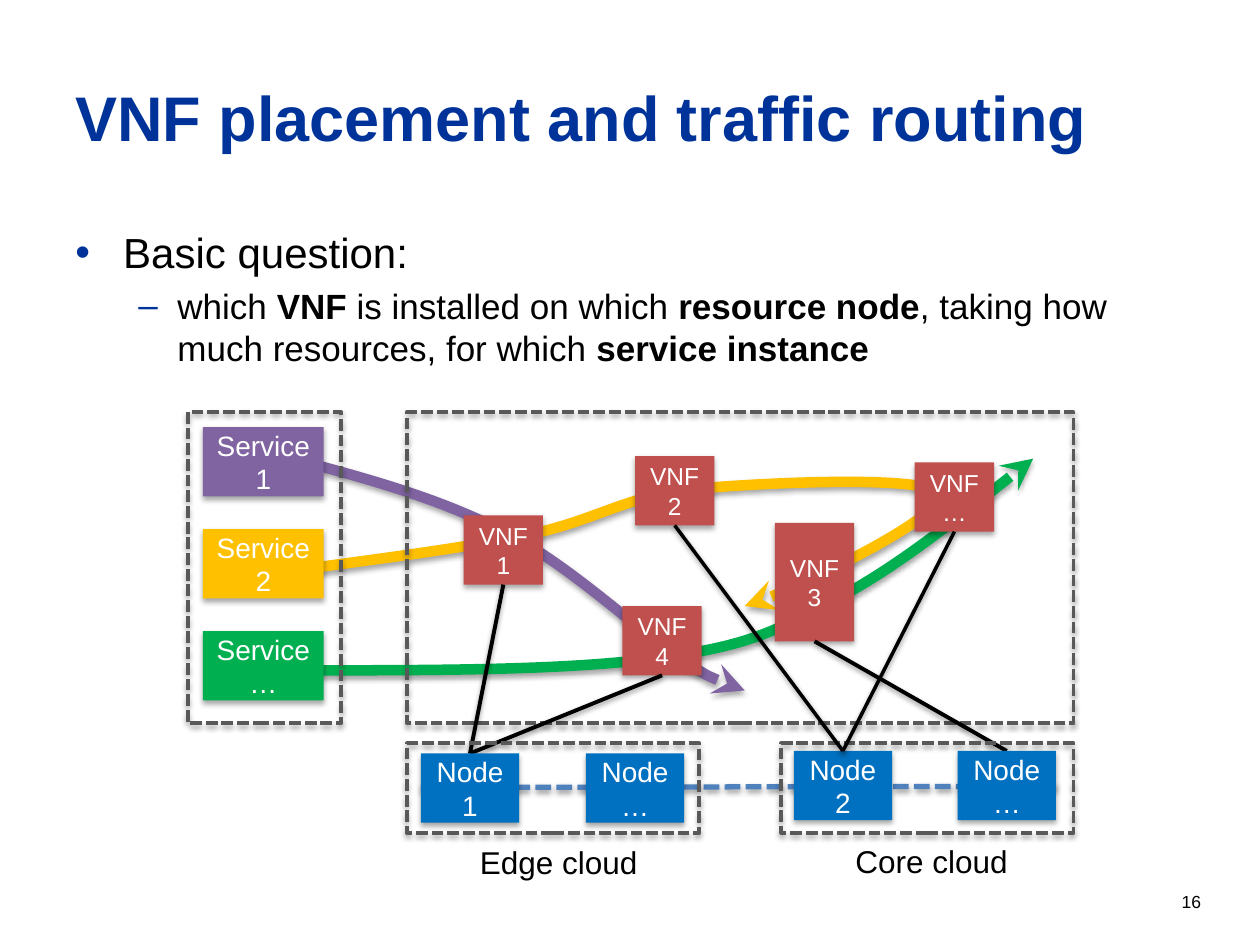
from lxml import etree
from pptx import Presentation
from pptx.dml.color import RGBColor
from pptx.enum.dml import MSO_LINE
from pptx.enum.shapes import MSO_CONNECTOR, MSO_SHAPE
from pptx.enum.text import MSO_ANCHOR, PP_ALIGN
from pptx.oxml.ns import qn
from pptx.util import Inches, Pt

RECTANGLE = MSO_SHAPE.RECTANGLE
STRAIGHT = MSO_CONNECTOR.STRAIGHT
DASH = MSO_LINE.SQUARE_DOT
TOP, MIDDLE = MSO_ANCHOR.TOP, MSO_ANCHOR.MIDDLE
LEFT, CENTER = PP_ALIGN.LEFT, PP_ALIGN.CENTER

FONT = "Arial"
NAVY = RGBColor(0x00, 0x33, 0x99)
BLACK = RGBColor(0x00, 0x00, 0x00)
WHITE = RGBColor(0xFF, 0xFF, 0xFF)
GRAY = RGBColor(0x59, 0x59, 0x59)
PURPLE = RGBColor(0x80, 0x64, 0xA2)
YELLOW = RGBColor(0xFF, 0xC0, 0x00)
GREEN = RGBColor(0x00, 0xB0, 0x50)
RED = RGBColor(0xC0, 0x50, 0x4D)
BLUE = RGBColor(0x00, 0x70, 0xC0)
LINK_BLUE = RGBColor(0x4F, 0x81, 0xBD)

TITLE = "VNF placement and traffic routing"
PAGE_NUMBER = "16"
# bullet, size, left margin, hanging indent, runs (text, bold)
BULLETS = [
    ("•", 24, 0.38, 0.38, [("Basic question:", False)]),
    ("–", 20, 0.81, 0.31, [
        ("which ", False), ("VNF", True), (" is installed on which ", False),
        ("resource node", True),
        (", taking how much resources, for which ", False),
        ("service instance", True)]),
]

# Start point, then three points for each Bezier curve
ROUTES = [
    (PURPLE, [(2.39, 3.66), (2.96, 3.81), (3.52, 3.97), (4.02, 4.23),
              (4.51, 4.48), (5.05, 4.99), (5.36, 5.2),
              (5.68, 5.41), (5.79, 5.44), (5.91, 5.48)]),
    (YELLOW, [(2.39, 4.52), (3.04, 4.43), (3.69, 4.35), (4.21, 4.24),
              (4.73, 4.13), (4.98, 3.93), (5.52, 3.88),
              (6.06, 3.83), (7.38, 3.77), (7.45, 3.92),
              (7.51, 4.08), (6.16, 4.76), (5.91, 4.81)]),
    (GREEN, [(2.38, 5.32), (3.42, 5.32), (4.45, 5.32), (5.16, 5.23),
             (5.86, 5.14), (6.08, 5.05), (6.59, 4.78),
             (7.09, 4.52), (7.64, 4.08), (8.2, 3.64)]),
]

BOX_HEIGHT = 0.55
SERVICES = [("Service 1", PURPLE), ("Service 2", YELLOW), ("Service …", GREEN)]
SERVICE_LEFT, SERVICE_TOP, SERVICE_PITCH, SERVICE_WIDTH = 1.61, 3.39, 0.81, 0.96
VNF_WIDTH = 0.63
VNFS = [  # text, left, top, height
    ("VNF 1", 3.68, 4.09, BOX_HEIGHT),
    ("VNF 3", 6.15, 4.15, 0.94),
    ("VNF …", 7.26, 3.67, BOX_HEIGHT),
    ("VNF 2", 5.04, 3.62, BOX_HEIGHT),
    ("VNF 4", 4.94, 4.81, BOX_HEIGHT),
]
NODE_WIDTH = 0.78
NODES = [("Node 1", 3.34, 5.98), ("Node …", 4.65, 5.98),
         ("Node 2", 6.3, 5.96), ("Node …", 7.6, 5.96)]
UPPER_FRAMES = [(1.49, 3.27, 1.22, 2.47), (3.23, 3.27, 5.29, 2.47)]
CLOUD_FRAMES = [(3.23, 5.9, 2.32, 0.71), (6.2, 5.9, 2.32, 0.71)]
CLOUD_LABELS = [("Edge cloud", 3.71, 6.64, 1.46), ("Core cloud", 6.69, 6.63, 1.42)]
# VNF index, node index, line width
BACK_PLACEMENTS = [(0, 0, 2.25), (4, 0, 2.25), (1, 3, 2.25)]
FRONT_PLACEMENTS = [(3, 2, 2), (2, 2, 2)]

presentation = Presentation()
presentation.slide_width, presentation.slide_height = Inches(10), Inches(7.5)
slide = presentation.slides.add_slide(presentation.slide_layouts[6])
shapes = slide.shapes


def inches(values):
    return [Inches(value) for value in values]


def add_child(parent, tag, **attributes):
    return etree.SubElement(parent, qn(tag), attributes)


def add_shadow(shape, distance=23000, opacity=35000):
    """Add a soft downward shadow; call it after fill and line are set."""
    effects = add_child(shape.element.spPr, "a:effectLst")
    shadow = add_child(effects, "a:outerShdw", blurRad="40000",
                       dist=str(distance), dir="5400000", rotWithShape="0")
    color = add_child(shadow, "a:srgbClr", val=str(BLACK))
    add_child(color, "a:alpha", val=str(opacity))


def set_line(shape, color, width, dash=None):
    shape.line.color.rgb = color
    shape.line.width = Pt(width)
    if dash:
        shape.line.dash_style = dash


def add_run(paragraph, text, size, color, bold=False):
    run = paragraph.add_run()
    run.text = text
    run.font.name, run.font.size, run.font.bold = FONT, Pt(size), bold
    run.font.color.rgb = color


def add_text(box, text, size, color=BLACK, bold=False, align=LEFT,
             anchor=TOP, wrap=True):
    shape = shapes.add_textbox(*inches(box))
    frame = shape.text_frame
    frame.word_wrap, frame.vertical_anchor = wrap, anchor
    frame.paragraphs[0].alignment = align
    add_run(frame.paragraphs[0], text, size, color, bold)


def add_box(text, box, color, size):
    shape = shapes.add_shape(RECTANGLE, *inches(box))
    shape.fill.solid()
    shape.fill.fore_color.rgb = color
    shape.line.fill.background()
    add_shadow(shape)
    frame = shape.text_frame
    frame.word_wrap, frame.vertical_anchor = True, MIDDLE
    frame.paragraphs[0].alignment = CENTER
    add_run(frame.paragraphs[0], text, size, WHITE)


def add_frame(box):
    shape = shapes.add_shape(RECTANGLE, *inches(box))
    shape.fill.background()
    set_line(shape, GRAY, 2.25, DASH)
    add_shadow(shape)


def add_link(start, end, color, width, dash=None):
    connector = shapes.add_connector(STRAIGHT, *inches(start + end))
    set_line(connector, color, width, dash)
    add_shadow(connector, 20000, 38000)


def add_placement(vnf, node, width):
    """Join the bottom centre of a VNF to the top centre of a node."""
    _, vnf_left, vnf_top, vnf_height = VNFS[vnf]
    _, node_left, node_top = NODES[node]
    add_link((vnf_left + VNF_WIDTH / 2, vnf_top + vnf_height),
             (node_left + NODE_WIDTH / 2, node_top), BLACK, width)


def add_route(color, points):
    """Build the outline, then turn each three segments into one Bezier curve."""
    start, *rest = [inches(point) for point in points]
    builder = shapes.build_freeform(*start)
    builder.add_line_segments(rest, close=False)
    shape = builder.convert_to_shape()
    outline = shape.element.find(".//" + qn("a:path"))
    for index, segment in enumerate(outline.findall(qn("a:lnTo"))):
        if index % 3 == 0:
            curve = add_child(outline, "a:cubicBezTo")
        curve.append(segment[0])
        outline.remove(segment)
    shape.fill.background()
    set_line(shape, color, 6)
    add_child(shape.element.spPr.find(qn("a:ln")), "a:tailEnd", type="stealth")
    add_shadow(shape)


add_text((9.27, 7.02, 0.37, 0.4), PAGE_NUMBER, 10, align=CENTER, wrap=False)
add_text((0.5, 0.3, 8.51, 1.25), TITLE, 36, NAVY, True, anchor=MIDDLE)

body = shapes.add_textbox(*inches((0.5, 1.75, 9, 4.95))).text_frame
body.word_wrap = True
for index, (bullet, size, margin, hanging, runs) in enumerate(BULLETS):
    paragraph = body.add_paragraph() if index else body.paragraphs[0]
    paragraph.space_before = Pt(size * 0.2)
    properties = paragraph._p.get_or_add_pPr()
    properties.set("marL", str(Inches(margin)))
    properties.set("indent", str(-Inches(hanging)))
    add_child(add_child(properties, "a:buClr"), "a:srgbClr", val=str(NAVY))
    add_child(properties, "a:buFont", typeface=FONT)
    add_child(properties, "a:buChar", char=bullet)
    for text, bold in runs:
        add_run(paragraph, text, size, BLACK, bold)

for color, points in ROUTES:
    add_route(color, points)
add_link((8.38, 6.24), (3.34, 6.25), LINK_BLUE, 3, DASH)
for box in UPPER_FRAMES:
    add_frame(box)
for index, (text, color) in enumerate(SERVICES):
    top = SERVICE_TOP + index * SERVICE_PITCH
    add_box(text, (SERVICE_LEFT, top, SERVICE_WIDTH, BOX_HEIGHT), color, 16)
for text, left, top, height in VNFS:
    add_box(text, (left, top, VNF_WIDTH, height), RED, 14)
for placement in BACK_PLACEMENTS:
    add_placement(*placement)
for box in CLOUD_FRAMES:
    add_frame(box)
for text, left, top in NODES:
    add_box(text, (left, top, NODE_WIDTH, BOX_HEIGHT), BLUE, 16)
for text, left, top, width in CLOUD_LABELS:
    add_text((left, top, width, 0.4), text, 18, wrap=False)
for placement in FRONT_PLACEMENTS:
    add_placement(*placement)

presentation.save("out.pptx")
